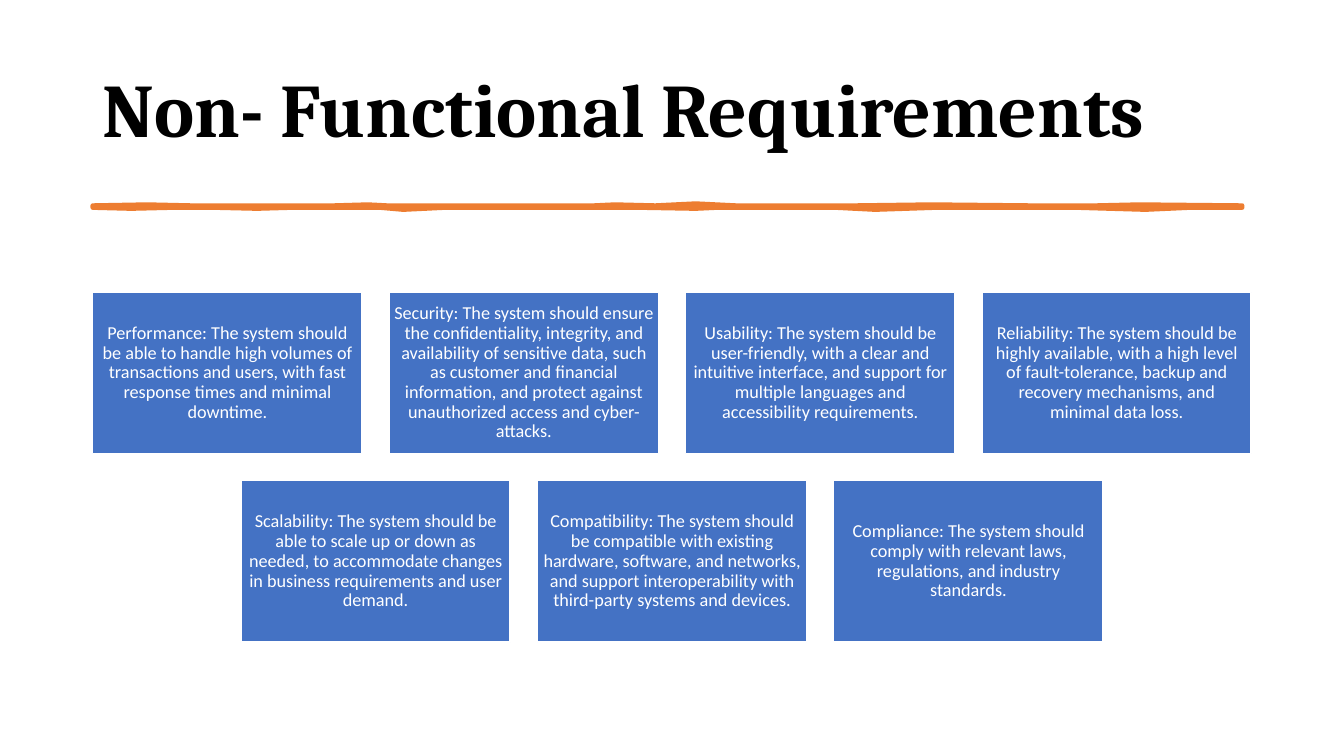
from pptx import Presentation
from pptx.dml.color import RGBColor
from pptx.enum.shapes import MSO_SHAPE
from pptx.enum.text import MSO_ANCHOR, PP_ALIGN
from pptx.util import Pt

PX = 9144  # EMU per px, 100 px to the inch
BLACK = RGBColor(0x00, 0x00, 0x00)
WHITE = RGBColor(0xFF, 0xFF, 0xFF)
BLUE = RGBColor(0x44, 0x72, 0xC4)
ORANGE = RGBColor(0xED, 0x7D, 0x31)

SLIDE_WIDTH, SLIDE_HEIGHT = 1333, 750
BOX_WIDTH, BOX_HEIGHT, GAP = 267, 160, 27
GRID_LEFT, GRID_TOP, COLUMNS = 92, 290, 4

REQUIREMENTS = [
    "Performance: The system should be able to handle high volumes of transactions and users, "
    "with fast response times and minimal downtime.",
    "Security: The system should ensure the confidentiality, integrity, and availability of "
    "sensitive data, such as customer and financial information, and protect against "
    "unauthorized access and cyber-attacks.",
    "Usability: The system should be user-friendly, with a clear and intuitive interface, "
    "and support for multiple languages and accessibility requirements.",
    "Reliability: The system should be highly available, with a high level of fault-tolerance, "
    "backup and recovery mechanisms, and minimal data loss.",
    "Scalability: The system should be able to scale up or down as needed, to accommodate "
    "changes in business requirements and user demand.",
    "Compatibility: The system should be compatible with existing hardware, software, and "
    "networks, and support interoperability with third-party systems and devices.",
    "Compliance: The system should comply with relevant laws, regulations, and industry "
    "standards.",
]

# Upper edge left to right, then lower edge right to left
BRUSH_STROKE = [
    (92, 204), (146, 203), (190, 204), (244, 204), (331, 204), (365, 203), (384, 204),
    (460, 204), (548, 204), (589, 204), (610, 203), (650, 204), (690, 202), (730, 204),
    (806, 204), (848, 204), (924, 203), (1023, 204), (1087, 204), (1130, 203),
    (1232, 204), (1232, 206), (1180, 206), (1136, 208), (1068, 206), (981, 206),
    (928, 206), (868, 208), (829, 206), (790, 206), (753, 206), (711, 206), (690, 207),
    (635, 206), (570, 206), (506, 206), (441, 206), (400, 208), (377, 206), (330, 206),
    (289, 206), (255, 207), (213, 206), (171, 206), (130, 207), (92, 206),
]


def add_text(shape, text, font_name, size, color, alignment, bold=False):
    frame = shape.text_frame
    frame.word_wrap = True
    frame.vertical_anchor = MSO_ANCHOR.MIDDLE
    paragraph = frame.paragraphs[0]
    paragraph.alignment = alignment
    paragraph.line_spacing = 0.9
    run = paragraph.add_run()
    run.text = text
    run.font.name = font_name
    run.font.size = Pt(size)
    run.font.bold = bold
    run.font.color.rgb = color
    return frame


presentation = Presentation()
presentation.slide_width = SLIDE_WIDTH * PX
presentation.slide_height = SLIDE_HEIGHT * PX
slide = presentation.slides.add_slide(presentation.slide_layouts[6])

title = slide.shapes.add_textbox(92 * PX, 40 * PX, 1150 * PX, 145 * PX)
add_text(title, "Non- Functional Requirements", "Cambria", 54, BLACK, PP_ALIGN.LEFT, bold=True)

builder = slide.shapes.build_freeform(*BRUSH_STROKE[0], scale=PX)
builder.add_line_segments(BRUSH_STROKE[1:], close=True)
divider = builder.convert_to_shape()
divider.shadow.inherit = False
divider.fill.solid()
divider.fill.fore_color.rgb = ORANGE
divider.line.color.rgb = ORANGE
divider.line.width = Pt(3.25)

for index, requirement in enumerate(REQUIREMENTS):
    row, column = divmod(index, COLUMNS)
    boxes_in_row = min(COLUMNS, len(REQUIREMENTS) - row * COLUMNS)
    indent = (COLUMNS - boxes_in_row) * (BOX_WIDTH + GAP) // 2
    left = GRID_LEFT + indent + column * (BOX_WIDTH + GAP)
    top = GRID_TOP + row * (BOX_HEIGHT + GAP)
    box = slide.shapes.add_shape(
        MSO_SHAPE.RECTANGLE, left * PX, top * PX, BOX_WIDTH * PX, BOX_HEIGHT * PX)
    box.shadow.inherit = False
    box.fill.solid()
    box.fill.fore_color.rgb = BLUE
    box.line.color.rgb = WHITE
    box.line.width = Pt(1)
    frame = add_text(box, requirement, "Calibri", 13, WHITE, PP_ALIGN.CENTER)
    frame.margin_left = frame.margin_right = 5 * PX
    frame.margin_top = frame.margin_bottom = 5 * PX

presentation.save("out.pptx")
